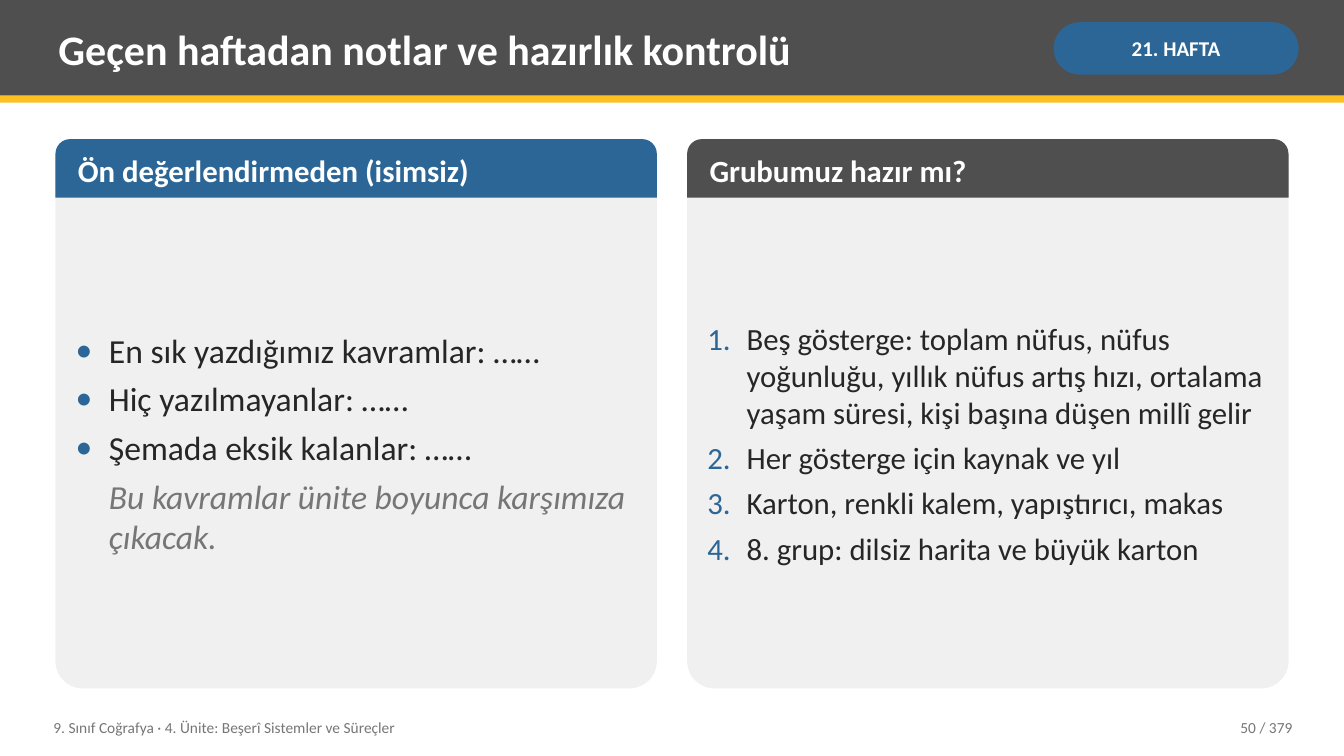
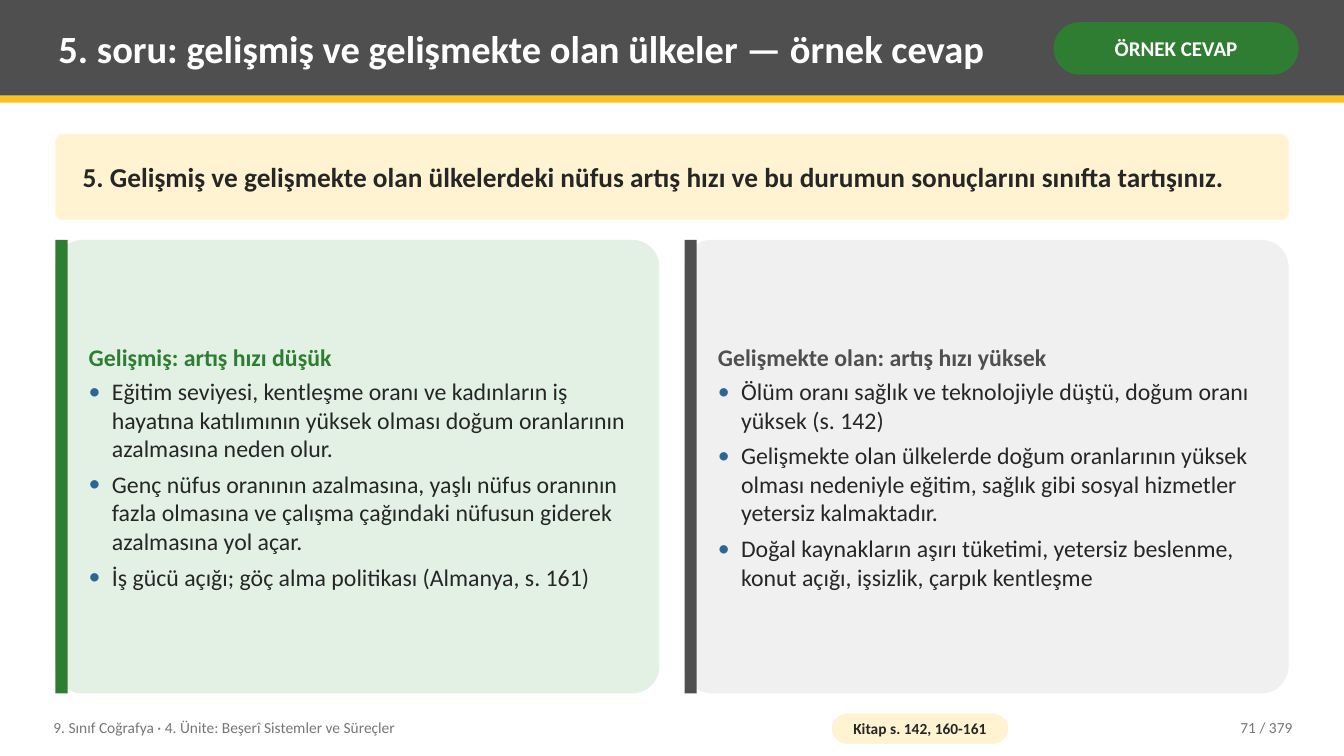
"""Build two geography lesson slides that share a title band and a footer."""
from lxml import etree
from pptx import Presentation
from pptx.dml.color import RGBColor
from pptx.enum.shapes import MSO_SHAPE
from pptx.enum.text import MSO_ANCHOR, MSO_AUTO_SIZE, PP_ALIGN
from pptx.oxml.ns import qn
from pptx.util import Inches, Pt

RECTANGLE = MSO_SHAPE.RECTANGLE
ROUNDED = MSO_SHAPE.ROUNDED_RECTANGLE
ROUNDED_TOP = MSO_SHAPE.ROUND_2_SAME_RECTANGLE
LEFT, CENTER, RIGHT = PP_ALIGN.LEFT, PP_ALIGN.CENTER, PP_ALIGN.RIGHT
MIDDLE, NO_FIT = MSO_ANCHOR.MIDDLE, MSO_AUTO_SIZE.NONE

FONT = "Calibri"
COLORS = {
    "gray": "4F4F4F", "yellow": "FCC021", "blue": "2C6696", "green": "2E7D32",
    "light_gray": "F0F0F0", "light_green": "E3F1E4", "cream": "FFF3D1",
    "text": "262626", "muted": "767676", "white": "FFFFFF",
}
MARGIN, CONTENT_WIDTH, SLIDE_WIDTH = 0.55, 12.23, 13.33
PAGE_TOTAL = 379
FOOTER = "9. Sınıf Coğrafya · 4. Ünite: Beşerî Sistemler ve Süreçler"

PREPARATION = {
    "title": "Geçen haftadan notlar ve hazırlık kontrolü", "title_size": 30,
    "tag": "21. HAFTA", "tag_color": "blue", "page": 50,
    "panels": [
        {"heading": "Ön değerlendirmeden (isimsiz)", "color": "blue",
         "size": 24, "bullet": "•", "indent": 0.33,
         "items": ["En sık yazdığımız kavramlar: ……", "Hiç yazılmayanlar: ……",
                   "Şemada eksik kalanlar: ……"],
         "note": "Bu kavramlar ünite boyunca karşımıza çıkacak."},
        {"heading": "Grubumuz hazır mı?", "color": "gray",
         "size": 22, "bullet": "1.", "indent": 0.39,
         "items": ["Beş gösterge: toplam nüfus, nüfus yoğunluğu, yıllık nüfus artış hızı, "
                   "ortalama yaşam süresi, kişi başına düşen millî gelir",
                   "Her gösterge için kaynak ve yıl",
                   "Karton, renkli kalem, yapıştırıcı, makas",
                   "8. grup: dilsiz harita ve büyük karton"]},
    ],
}
ANSWER = {
    "title": "5. soru: gelişmiş ve gelişmekte olan ülkeler — örnek cevap",
    "title_size": 27.5, "tag": "ÖRNEK CEVAP", "tag_color": "green", "page": 71,
    "question": "5. Gelişmiş ve gelişmekte olan ülkelerdeki nüfus artış hızı ve bu "
                "durumun sonuçlarını sınıfta tartışınız.",
    "source": "Kitap s. 142, 160-161",
    "panels": [
        {"heading": "Gelişmiş: artış hızı düşük", "color": "green", "fill": "light_green",
         "items": ["Eğitim seviyesi, kentleşme oranı ve kadınların iş hayatına katılımının "
                   "yüksek olması doğum oranlarının azalmasına neden olur.",
                   "Genç nüfus oranının azalmasına, yaşlı nüfus oranının fazla olmasına ve "
                   "çalışma çağındaki nüfusun giderek azalmasına yol açar.",
                   "İş gücü açığı; göç alma politikası (Almanya, s. 161)"]},
        {"heading": "Gelişmekte olan: artış hızı yüksek", "color": "gray",
         "fill": "light_gray",
         "items": ["Ölüm oranı sağlık ve teknolojiyle düştü, doğum oranı yüksek (s. 142)",
                   "Gelişmekte olan ülkelerde doğum oranlarının yüksek olması nedeniyle "
                   "eğitim, sağlık gibi sosyal hizmetler yetersiz kalmaktadır.",
                   "Doğal kaynakların aşırı tüketimi, yetersiz beslenme, konut açığı, "
                   "işsizlik, çarpık kentleşme"]},
    ],
}


def rgb(name):
    return RGBColor.from_string(COLORS[name])


def place(shape, left, top, width, height):
    shape.left, shape.top = Inches(left), Inches(top)
    shape.width, shape.height = Inches(width), Inches(height)


def add_block(slide, kind, box, fill, corner=None):
    shape = slide.shapes.add_shape(kind, *map(Inches, box))
    shape.shadow.inherit = False
    shape.fill.solid()
    shape.fill.fore_color.rgb = rgb(fill)
    shape.line.fill.background()
    if corner is not None:
        shape.adjustments[0] = corner
    return shape


def set_list_mark(paragraph, bullet, indent):
    properties = paragraph._p.get_or_add_pPr()
    hanging = indent if bullet else 0
    properties.set("marL", str(Inches(indent)))
    properties.set("indent", str(-Inches(hanging)))
    if not bullet:
        etree.SubElement(properties, qn("a:buNone"))
        return
    color = etree.SubElement(properties, qn("a:buClr"))
    etree.SubElement(color, qn("a:srgbClr"), val=COLORS["blue"])
    etree.SubElement(properties, qn("a:buFont"), typeface=FONT)
    if bullet == "1.":
        etree.SubElement(properties, qn("a:buAutoNum"), type="arabicPeriod")
    else:
        etree.SubElement(properties, qn("a:buChar"), char=bullet)


def write(shape, text, size, color="text", bold=False, italic=False, align=LEFT,
          after=0, bullet=None, indent=0, side=0.08, edge=0.04):
    frame = shape.text_frame
    frame.word_wrap, frame.auto_size = True, NO_FIT
    frame.vertical_anchor = MIDDLE
    frame.margin_left = frame.margin_right = Inches(side)
    frame.margin_top = frame.margin_bottom = Inches(edge)
    paragraph = frame.add_paragraph() if frame.text else frame.paragraphs[0]
    set_list_mark(paragraph, bullet, indent)
    paragraph.alignment = align
    paragraph.space_before, paragraph.space_after = Pt(0), Pt(after)
    run = paragraph.add_run()
    run.text = text
    run.font.name, run.font.size = FONT, Pt(size)
    run.font.bold, run.font.italic = bold, italic
    run.font.color.rgb = rgb(color)


def write_list(body, items, size, bullet, indent, after, last_after=0):
    for number, item in enumerate(items, 1):
        space = after if number < len(items) else last_after
        write(body, item, size, bullet=bullet, indent=indent, after=space)


def set_up_layout(layout, slide):
    """Put the band and the footer on the layout, and place its title."""
    place(layout.placeholders[0], 0.5, 0.07, 9.75, 0.82)
    footer = slide.shapes.add_textbox(*map(Inches, (0.45, 7.04, 7.6, 0.36)))
    write(footer, FOOTER, 11, "muted")
    shared = [
        add_block(slide, RECTANGLE, (0, 0, SLIDE_WIDTH, 0.95), "gray"),
        add_block(slide, RECTANGLE, (0, 0.95, SLIDE_WIDTH, 0.07), "yellow"),
        footer,
    ]
    for number, shape in enumerate(shared, 100):
        shape.element.nvSpPr.cNvPr.set("id", str(number))
        layout.shapes.element.append(shape.element)


def add_frame(slide, content):
    write(slide.shapes.title, content["title"], content["title_size"], "white", bold=True)
    tag = add_block(slide, ROUNDED, (10.45, 0.22, 2.43, 0.52), content["tag_color"], 0.5)
    write(tag, content["tag"], 15, "white", bold=True, align=CENTER, side=0.05, edge=0.02)
    page = slide.shapes.add_textbox(*map(Inches, (11.3, 7.04, 1.6, 0.36)))
    write(page, f"{content['page']} / {PAGE_TOTAL}", 11, "muted", align=RIGHT)


def panel_columns(slide, panels, gap):
    """Yield each panel with its list placeholder, left edge and width."""
    width = (CONTENT_WIDTH - gap) / 2
    for number, panel in enumerate(panels):
        yield panel, slide.placeholders[number + 1], MARGIN + number * (width + gap), width


def bring_to_front(slide, shape):
    slide.shapes.element.append(shape.element)


def fill_preparation(slide, content):
    top, height, header = 1.38, 5.45, 0.58
    for panel, body, left, width in panel_columns(slide, content["panels"], 0.3):
        add_block(slide, ROUNDED, (left, top, width, height), "light_gray", 0.05)
        heading = add_block(slide, ROUNDED_TOP, (left, top, width, header),
                            panel["color"], 0.25)
        write(heading, panel["heading"], 22, "white", bold=True, side=0.18)
        place(body, left + 0.12, top + header + 0.08, width - 0.24, height - header - 0.16)
        note = panel.get("note")
        write_list(body, panel["items"], panel["size"], panel["bullet"], panel["indent"],
                   6, last_after=6 if note else 0)
        if note:
            write(body, note, panel["size"], "muted", italic=True, indent=panel["indent"])
        bring_to_front(slide, body)


def fill_answer(slide, content):
    top, height = 2.38, 4.5
    question = add_block(slide, ROUNDED, (MARGIN, 1.33, CONTENT_WIDTH, 0.85), "cream", 0.08)
    write(question, content["question"], 19.5, bold=True, side=0.25, edge=0.08)
    for panel, body, left, width in panel_columns(slide, content["panels"], 0.25):
        add_block(slide, ROUNDED, (left, top, width, height), panel["fill"], 0.06)
        add_block(slide, RECTANGLE, (left, top, 0.12, height), panel["color"])
        place(body, left + 0.25, top + 0.06, width - 0.35, height - 0.12)
        write(body, panel["heading"], 17, panel["color"], bold=True, after=4)
        write_list(body, panel["items"], 17, "•", 0.23, 5)
        bring_to_front(slide, body)
    source = add_block(slide, ROUNDED, (8.25, 7.08, 1.75, 0.3), "cream", 0.5)
    write(source, content["source"], 11, bold=True, align=CENTER, side=0.04, edge=0)


def main():
    presentation = Presentation()
    presentation.slide_width, presentation.slide_height = Inches(SLIDE_WIDTH), Inches(7.5)
    layout = presentation.slide_layouts.get_by_name("Two Content")
    pages = [(PREPARATION, fill_preparation), (ANSWER, fill_answer)]
    for number, (content, fill_slide) in enumerate(pages):
        slide = presentation.slides.add_slide(layout)
        if number == 0:
            set_up_layout(layout, slide)
        add_frame(slide, content)
        fill_slide(slide, content)
    presentation.save("out.pptx")


if __name__ == "__main__":
    main()
